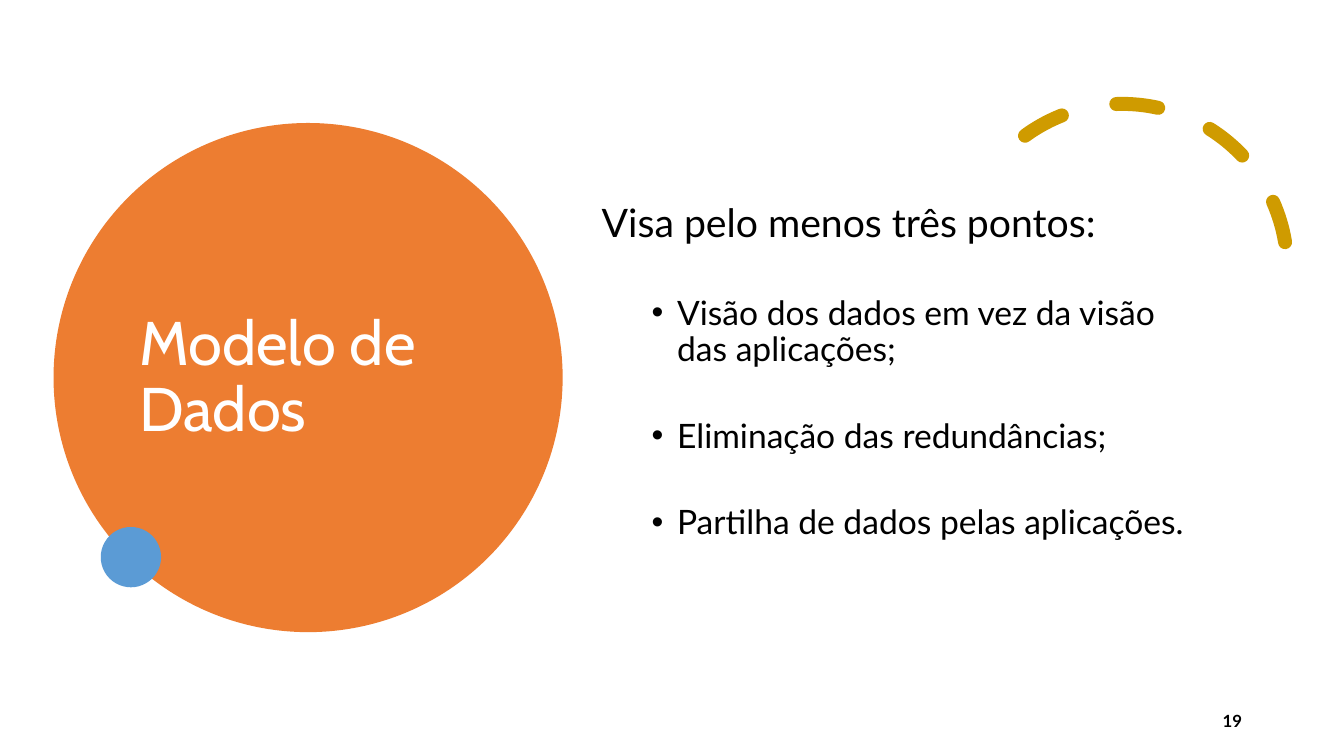
from lxml import etree
from pptx import Presentation
from pptx import util as u
from pptx.dml.color import RGBColor
from pptx.enum import dml, shapes, text
from pptx.oxml import ns

WHITE = RGBColor(0xFF, 0xFF, 0xFF)
BLACK = RGBColor(0x00, 0x00, 0x00)
ORANGE = RGBColor(0xED, 0x7D, 0x31)
BLUE = RGBColor(0x5B, 0x9B, 0xD5)
GOLD = RGBColor(0xCF, 0x9B, 0x00)


class Deck:
    """Holds the fonts and the current slide, and draws each kind of element."""

    head = "Cabin"
    face = "Lato"

    def __init__(self):
        self.prs = Presentation()
        self.prs.slide_width = u.Cm(33.87)
        self.prs.slide_height = u.Cm(19.05)
        self.slide = self.prs.slides.add_slide(self.prs.slide_layouts[1])
        fill = self.slide.background.fill
        fill.solid()
        fill.fore_color.rgb = WHITE

    def place(self, shape, left, top, width, height):
        shape.left, shape.top = u.Cm(left), u.Cm(top)
        shape.width, shape.height = u.Cm(width), u.Cm(height)

    def style(self, para, size, color, face, bold=False):
        for run in para.runs:
            font = run.font
            font.size, font.name, font.bold = u.Pt(size), face, bold
            font.color.rgb = color

    def disc(self, left, top, size, color, back=False):
        disc = self.slide.shapes.add_shape(
            shapes.MSO_SHAPE.OVAL, u.Cm(left), u.Cm(top), u.Cm(size), u.Cm(size))
        disc.shadow.inherit = False
        disc.fill.solid()
        disc.fill.fore_color.rgb = color
        disc.line.fill.background()
        if back:
            disc.element.getparent().insert(2, disc.element)

    def arc(self, left, top, size, start, end, turn, color, width):
        arc = self.slide.shapes.add_shape(
            shapes.MSO_SHAPE.ARC, u.Cm(left), u.Cm(top), u.Cm(size), u.Cm(size))
        arc.shadow.inherit = False
        arc.adjustments[0], arc.adjustments[1] = start, end
        arc.rotation = turn
        arc.fill.background()
        arc.line.color.rgb = color
        arc.line.width = u.Pt(width)
        arc.line.dash_style = dml.MSO_LINE.DASH
        arc.line._get_or_add_ln().set("cap", "rnd")

    def title(self, words, *box):
        title = self.slide.shapes.title
        self.place(title, *box)
        frame = title.text_frame
        frame.text = words
        frame.word_wrap = True
        frame.auto_size = text.MSO_AUTO_SIZE.NONE
        frame.vertical_anchor = text.MSO_ANCHOR.MIDDLE
        para = frame.paragraphs[0]
        para.alignment = text.PP_ALIGN.LEFT
        para.line_spacing = 0.9
        self.style(para, 44, WHITE, self.head)

    def bullet(self, para, mark, left, hang):
        props = para._p.get_or_add_pPr()
        props.set("marL", str(u.Cm(left)))
        props.set("indent", str(-u.Cm(hang)))
        if mark:
            font = etree.SubElement(props, ns.qn("a:buFont"))
            font.set("typeface", "Arial")
            etree.SubElement(props, ns.qn("a:buChar")).set("char", mark)
        else:
            etree.SubElement(props, ns.qn("a:buNone"))

    def body(self, lead, points, *box):
        body = self.slide.placeholders[1]
        self.place(body, *box)
        frame = body.text_frame
        frame.text = "\n".join([lead, *points])
        frame.word_wrap = True
        frame.auto_size = text.MSO_AUTO_SIZE.NONE
        for rank, para in enumerate(frame.paragraphs):
            para.line_spacing = 0.9
            if rank:
                para.level = 1
                para.space_before = u.Pt(36)
                self.bullet(para, "•", 1.9, 0.64)
            else:
                para.space_before = u.Pt(0)
                self.bullet(para, None, 0, 0)
            self.style(para, 24 if rank else 28, BLACK, self.face)

    def number(self, words, *box):
        note = self.slide.shapes.add_textbox(*map(u.Cm, box))
        frame = note.text_frame
        frame.word_wrap = True
        frame.vertical_anchor = text.MSO_ANCHOR.MIDDLE
        frame.text = words
        frame.paragraphs[0].alignment = text.PP_ALIGN.RIGHT
        self.style(frame.paragraphs[0], 12, BLACK, self.face, True)


def main():
    deck = Deck()
    deck.disc(1.35, 3.1, 12.83, ORANGE, back=True)
    deck.title("Modelo de Dados", 3.25, 3.89, 8.99, 11.3)
    deck.body("Visa pelo menos três pontos:", [
        "Visão dos dados em vez da visão das aplicações;",
        "Eliminação das redundâncias;",
        "Partilha de dados pelas aplicações.",
    ], 14.91, 5, 15.37, 10.92)
    deck.arc(24.13, 2.62, 8.31, 158.17, 17.81, 330.2, GOLD, 10)
    deck.disc(2.54, 13.28, 1.52, BLUE)
    deck.number("19", 23.93, 17.65, 7.62, 1.02)
    deck.prs.save("out.pptx")


if __name__ == "__main__":
    main()
